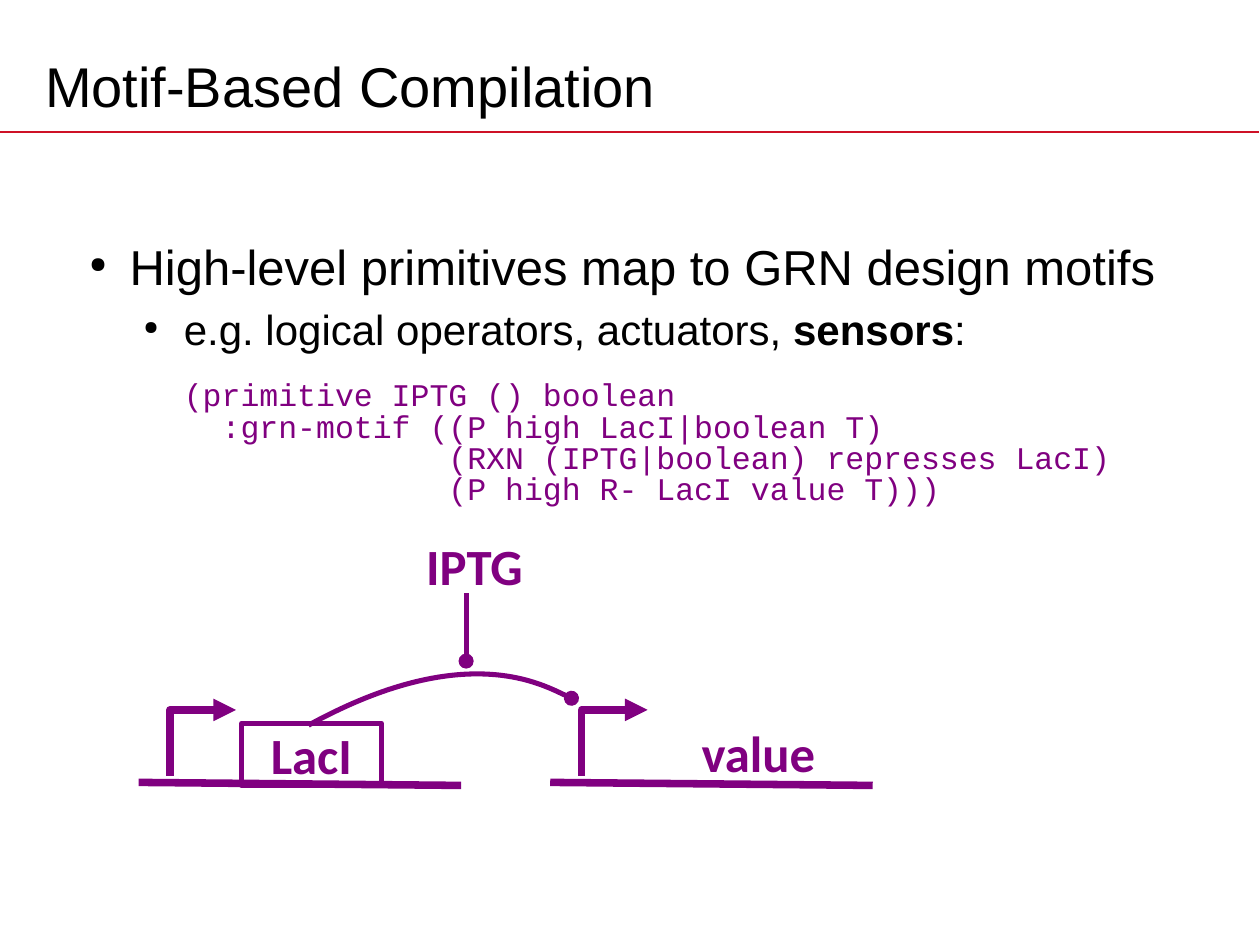
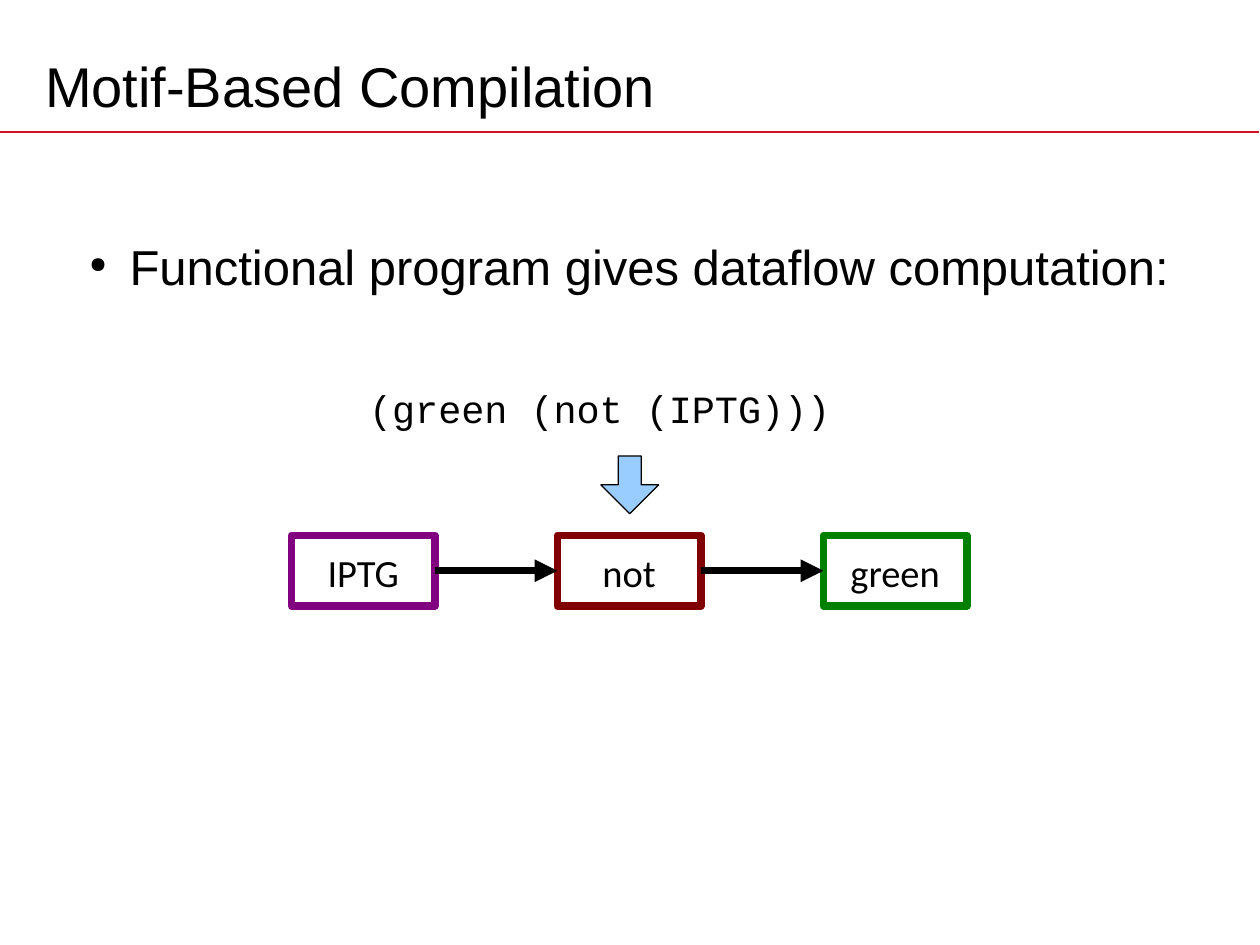
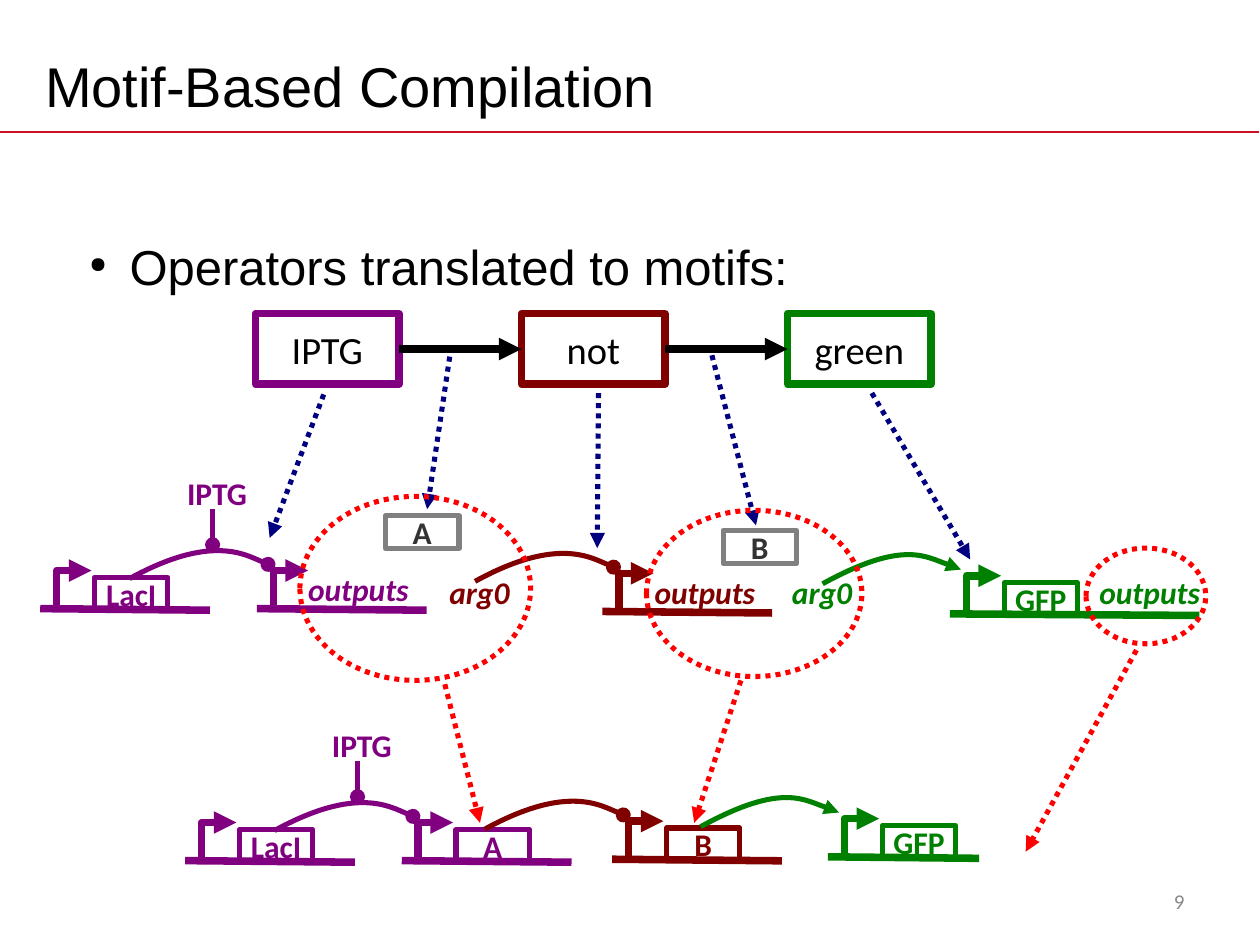
from collections import namedtuple

from lxml.etree import SubElement
from pptx import Presentation
from pptx.dml.color import RGBColor
from pptx.enum.dml import MSO_LINE as Dash
from pptx.enum.shapes import MSO_CONNECTOR as Connector, MSO_SHAPE as Preset
from pptx.enum.text import MSO_ANCHOR as Anchor, PP_ALIGN as Align
from pptx.oxml.ns import qn
from pptx.util import Pt

BLACK = RGBColor(0x00, 0x00, 0x00)
PURPLE = RGBColor(0x80, 0x00, 0x80)
MAROON = RGBColor(0x80, 0x00, 0x00)
GREEN = RGBColor(0x00, 0x80, 0x00)
NAVY = RGBColor(0x00, 0x00, 0x80)
RED = RGBColor(0xFF, 0x00, 0x00)
RULE_RED = RGBColor(0xCE, 0x11, 0x26)
SKY = RGBColor(0x99, 0xCC, 0xFF)
GRAY = RGBColor(0x80, 0x80, 0x80)
CHARCOAL = RGBColor(0x33, 0x33, 0x33)
PAGE_GRAY = RGBColor(0x89, 0x89, 0x89)

THICK, THIN = 4.31, 2.89
STRAND = 97
NO_MARGINS = (0, 0, 0, 0)
TEXT_MARGINS = (7.2, 3.6, 7.2, 3.6)
SIDES = ("margin_left", "margin_top", "margin_right", "margin_bottom")

Box = namedtuple("Box", "left top width height")
TITLE_BOX = Box(18.7, 21.6, 648, 54)
PAGE_BOX = Box(516, 500.4, 168, 28.8)
BODY_BOX = Box(36, 126, 648, 73.4)


def points(values):
    """Convert numbers to point lengths."""
    return [Pt(value) for value in values]


def apply(target, values):
    """Set each attribute in a dict of format values."""
    for name, value in values.items():
        setattr(target, name, value)


def style_line(shape, color, width, tip=None, dash=None):
    """Set the outline and the optional tip at its far end."""
    shape.line.color.rgb = color
    apply(shape.line, {"width": Pt(width), "dash_style": dash})
    if tip:
        outline = shape.element.spPr.find(qn("a:ln"))
        SubElement(outline, qn("a:tailEnd"), type=tip)


def draw_line(slide, start, end, color, width, tip=None, dash=None):
    """Draw a straight line or arrow."""
    connector = slide.shapes.add_connector(
        Connector.STRAIGHT, *points(start), *points(end))
    style_line(connector, color, width, tip, dash)
    SubElement(connector.element.spPr, qn("a:effectLst"))


def draw_outline(slide, vertices, color, width, tip, curved=False):
    """Draw an open polyline, or one curve steered by its inner vertices."""
    start, *others = [points(vertex) for vertex in vertices]
    builder = slide.shapes.build_freeform(*start)
    builder.add_line_segments(others, close=False)
    shape = builder.convert_to_shape()
    shape.shadow.inherit = False
    shape.fill.background()
    style_line(shape, color, width, tip)
    if curved:
        outline = shape.element.find(".//" + qn("a:path"))
        segments = outline.findall(qn("a:lnTo"))
        curve = SubElement(outline, qn("a:cubicBezTo"))
        for segment in segments:
            curve.append(segment[0])
            outline.remove(segment)


def draw_preset(slide, preset, box, color, width, dash=None, fill=None):
    """Draw a preset shape, unfilled unless a fill is given."""
    shape = slide.shapes.add_shape(preset, *points(box))
    shape.shadow.inherit = False
    if fill:
        shape.fill.solid()
        shape.fill.fore_color.rgb = fill
    else:
        shape.fill.background()
    style_line(shape, color, width, dash=dash)
    return shape


def style_run(run, color, size, name, **flags):
    """Set the font of one run."""
    apply(run.font, {"size": Pt(size), "name": name, **flags})
    run.font.color.rgb = color


def write(shape, lines, color, size, name, align=Align.LEFT,
          anchor=Anchor.TOP, margins=NO_MARGINS, spacing=None, **flags):
    """Write one paragraph a line into a shape."""
    frame = shape.text_frame
    apply(frame, {"word_wrap": True, "vertical_anchor": anchor,
                  **dict(zip(SIDES, points(margins)))})
    for index, line in enumerate(lines):
        paragraph = frame.add_paragraph() if index else frame.paragraphs[0]
        apply(paragraph, {"alignment": align, "line_spacing": spacing})
        run = paragraph.add_run()
        run.text = line
        style_run(run, color, size, name, **flags)


def draw_text(slide, box, lines, color, size, name, **options):
    """Add a text box."""
    write(slide.shapes.add_textbox(*points(box)), lines, color, size, name,
          **options)


def draw_label(slide, box, text, color, size=18, **options):
    """Add a bold centred diagram label."""
    draw_text(slide, box, [text], color, size, "Calibri",
              align=Align.CENTER, bold=True, **options)


def draw_node(slide, box, text, color, width, font_color, size, **options):
    """Draw an outlined box with its centred name."""
    shape = draw_preset(slide, Preset.ROUNDED_RECTANGLE, box, color, width)
    shape.adjustments[0] = 0
    write(shape, [text], font_color, size, "Calibri", align=Align.CENTER,
          anchor=Anchor.MIDDLE, **options)


def draw_bullets(slide, box, bullets):
    """Write bullets given as (level, [(text, bold), ...])."""
    frame = slide.shapes.add_textbox(*points(box)).text_frame
    apply(frame, {"word_wrap": True, "margin_top": Pt(9.2)})
    for index, (level, runs) in enumerate(bullets):
        paragraph = frame.add_paragraph() if index else frame.paragraphs[0]
        size = 28 - 4 * level
        properties = paragraph._p.get_or_add_pPr()
        properties.set("marL", str(Pt(31 * (level + 1))))
        properties.set("indent", str(Pt(-23)))
        apply(paragraph, {"level": level,
                          "space_before": Pt(0.2 * size if index else 0)})
        SubElement(properties, qn("a:buSzPct"), val="45000")
        SubElement(properties, qn("a:buChar"), char="●")
        for text, bold in runs:
            run = paragraph.add_run()
            run.text = text
            style_run(run, BLACK, size, "Arial", bold=bold)


def draw_code(slide, box, lines, color, size, top):
    """Write tightly spaced code."""
    draw_text(slide, box, lines, color, size, "Courier New", spacing=0.83,
              margins=(6.5, top, 6.5, 2.9))


def draw_dataflow(slide, box, margins=NO_MARGINS):
    """Draw the three operators joined by arrows across a box."""
    node = 82
    pitch = (box.width - node) / 2
    middle = box.top + box.height / 2
    operators = (("IPTG", PURPLE), ("not", MAROON), ("green", GREEN))
    for index, (name, color) in enumerate(operators):
        left = box.left + index * pitch
        draw_node(slide, Box(left, box.top, node, box.height), name, color,
                  THICK, BLACK, 22, margins=margins)
        if index:
            draw_line(slide, (left - pitch + node, middle), (left, middle),
                      BLACK, THICK, "triangle")


def draw_gene(slide, left, base, color, label=None, length=STRAND, scale=1,
              size=18, arc_tip=None, arc_color=None):
    """Draw a strand with promoter, optional gene box and incoming arc."""
    def at(x, y):
        return left + x * scale, base + y * scale

    draw_line(slide, at(0, 0), at(length, 0.9), color, THICK)
    draw_outline(slide, [at(9.4, -2), at(9.4, -21.8), at(29.3, -21.8)],
                 color, THICK, "triangle")
    if label:
        draw_node(slide, Box(*at(31, -17.8), 42 * scale, 18.7 * scale),
                  label, color, THIN, color, size, bold=True)
    if arc_tip:
        end = at(6.4, -25.3)
        draw_outline(slide, [at(-72.7, -17.2), at(-25.4, -43.2), end, end],
                     arc_color or color, THIN, arc_tip, curved=True)


def draw_sensor(slide, left, base, output=None, scale=1, size=18, inset=0):
    """Draw the IPTG sensor: LacI represses a second strand."""
    stem = left + 98.5 * scale
    draw_gene(slide, left, base, PURPLE, "LacI", scale=scale, size=size)
    draw_gene(slide, left + 123.8 * scale, base, PURPLE, output, scale=scale,
              size=size, arc_tip="oval")
    draw_line(slide, (stem, base - 56.9 * scale), (stem, base - 36.5 * scale),
              PURPLE, THIN, "oval")
    label_box = Box(left + 72.2 * scale, base - 77 * scale,
                    57.6 * scale, 24.5 * scale)
    draw_label(slide, label_box, "IPTG", PURPLE, size,
               margins=(0, inset, 0, 0))


def draw_links(slide, links, color):
    """Draw dotted arrows between levels of the diagram."""
    for start, end in links:
        draw_line(slide, start, end, color, THIN, "triangle", Dash.ROUND_DOT)


def start_slide(presentation, bullets):
    """Add a slide with the shared title, rule and bullets."""
    slide = presentation.slides.add_slide(presentation.slide_layouts[6])
    draw_line(slide, (0, 75.6), (719.3, 75.6), RULE_RED, 1)
    draw_text(slide, TITLE_BOX, ["Motif-Based Compilation"], BLACK, 32,
              "Arial", anchor=Anchor.MIDDLE, margins=TEXT_MARGINS)
    draw_bullets(slide, BODY_BOX, bullets)
    return slide


def build_sensor_slide(presentation):
    """Show a primitive as code and as a motif."""
    slide = start_slide(presentation, [
        (0, [("High-level primitives map to GRN design motifs", False)]),
        (1, [("e.g. logical operators, actuators, ", False),
             ("sensors", True), (":", False)]),
    ])
    draw_code(slide, Box(98.6, 212.4, 568, 72), [
        "(primitive IPTG () boolean",
        "  :grn-motif ((P high LacI|boolean T)",
        "              (RXN (IPTG|boolean) represses LacI)",
        "              (P high R- LacI value T)))",
    ], PURPLE, 18, 5.8)
    draw_sensor(slide, 79.2, 447.1, scale=1.9, size=29, inset=5)
    draw_label(slide, Box(371.5, 407.5, 123.8, 46), "value", PURPLE, 29,
               margins=(0, 5, 0, 0))


def build_dataflow_slide(presentation):
    """Show a program turned into dataflow."""
    slide = start_slide(presentation, [
        (0, [("Functional program gives dataflow computation:", False)])])
    draw_code(slide, Box(204.5, 217.4, 282, 28), ["(green (not (IPTG)))"],
              BLACK, 22, 7.2)
    arrow = draw_preset(slide, Preset.DOWN_ARROW, Box(343.4, 260.6, 33, 33),
                        BLACK, 0.75, fill=SKY)
    arrow.adjustments[0] = 0.4
    draw_dataflow(slide, Box(166.5, 306, 386, 40.3), (8.6, 6.5, 8.6, 5))


def draw_operator_motifs(slide, left, base):
    """Draw the separate motif of each operator with its open ends."""
    draw_sensor(slide, left, base)
    draw_gene(slide, left + 321.2, base + 1.6, MAROON, arc_tip="oval")
    draw_gene(slide, left + 519.8, base + 3, GREEN, "GFP", length=142.6,
              arc_tip="triangle")
    for x, y, name in ((197.3, -53, "A"), (390.2, -44.6, "B")):
        draw_node(slide, Box(left + x, base + y, 42, 18.7), name, GRAY, THIN,
                  CHARCOAL, 18, bold=True)
    for x, y, text, color in (
            (145.4, -22.3, "outputs", PURPLE),
            (343.4, -20.2, "outputs", MAROON),
            (597.6, -20.2, "outputs", GREEN),
            (410.4, -20.2, "arg0", GREEN),
            (214.6, -20.2, "arg0", MAROON)):
        draw_label(slide, Box(left + x, base + y, 72.7, 24.5), text, color,
                   italic=True)


def draw_joined_motifs(slide, left, base):
    """Draw the motifs joined through A and B."""
    draw_sensor(slide, left, base, "A")
    draw_gene(slide, left + 244, base - 0.8, MAROON, "B", arc_tip="oval")
    draw_gene(slide, left + 367.3, base - 2.2, GREEN, "GFP", length=86.4,
              arc_tip="triangle")


def build_motif_slide(presentation):
    """Show operators turned into motifs and joined."""
    slide = start_slide(presentation, [
        (0, [("Operators translated to motifs:", False)])])
    draw_dataflow(slide, Box(146, 179.3, 386, 40.3))
    draw_operator_motifs(slide, 23, 347.8)
    draw_links(slide, [
        ((185, 225.4), (154.1, 307.4)), ((342, 224.6), (341.3, 313.2)),
        ((498.2, 224.6), (554.4, 319.7)), ((406.8, 203), (432, 300.2)),
        ((257, 203.8), (244.1, 290.9)),
    ], NAVY)
    draw_joined_motifs(slide, 105.8, 491.8)
    for box in (Box(171.4, 283.7, 131.8, 105.1),
                Box(369.4, 291.6, 123.1, 95),
                Box(620.6, 313.2, 68.4, 54.7)):
        draw_preset(slide, Preset.OVAL, box, RED, THIN, Dash.ROUND_DOT)
    draw_links(slide, [
        ((254.2, 391), (274.3, 470.2)), ((423.4, 388.8), (396.7, 470.2)),
        ((649.4, 371.5), (586.1, 486.7)),
    ], RED)
    draw_text(slide, PAGE_BOX, ["9"], PAGE_GRAY, 12, "Calibri",
              align=Align.RIGHT, anchor=Anchor.MIDDLE, margins=TEXT_MARGINS)


def main():
    """Build and save the presentation."""
    presentation = Presentation()
    apply(presentation, {"slide_width": Pt(720), "slide_height": Pt(540)})
    build_sensor_slide(presentation)
    build_dataflow_slide(presentation)
    build_motif_slide(presentation)
    presentation.save("out.pptx")


if __name__ == "__main__":
    main()
